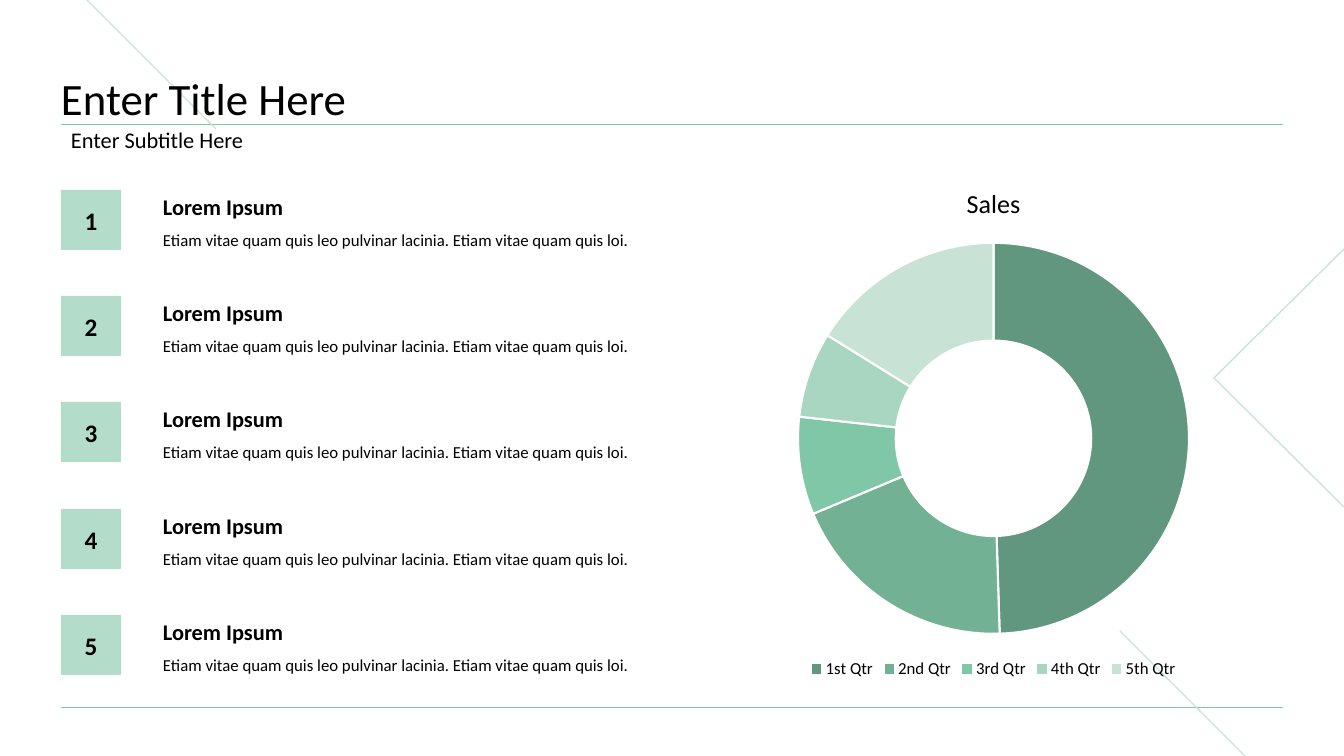
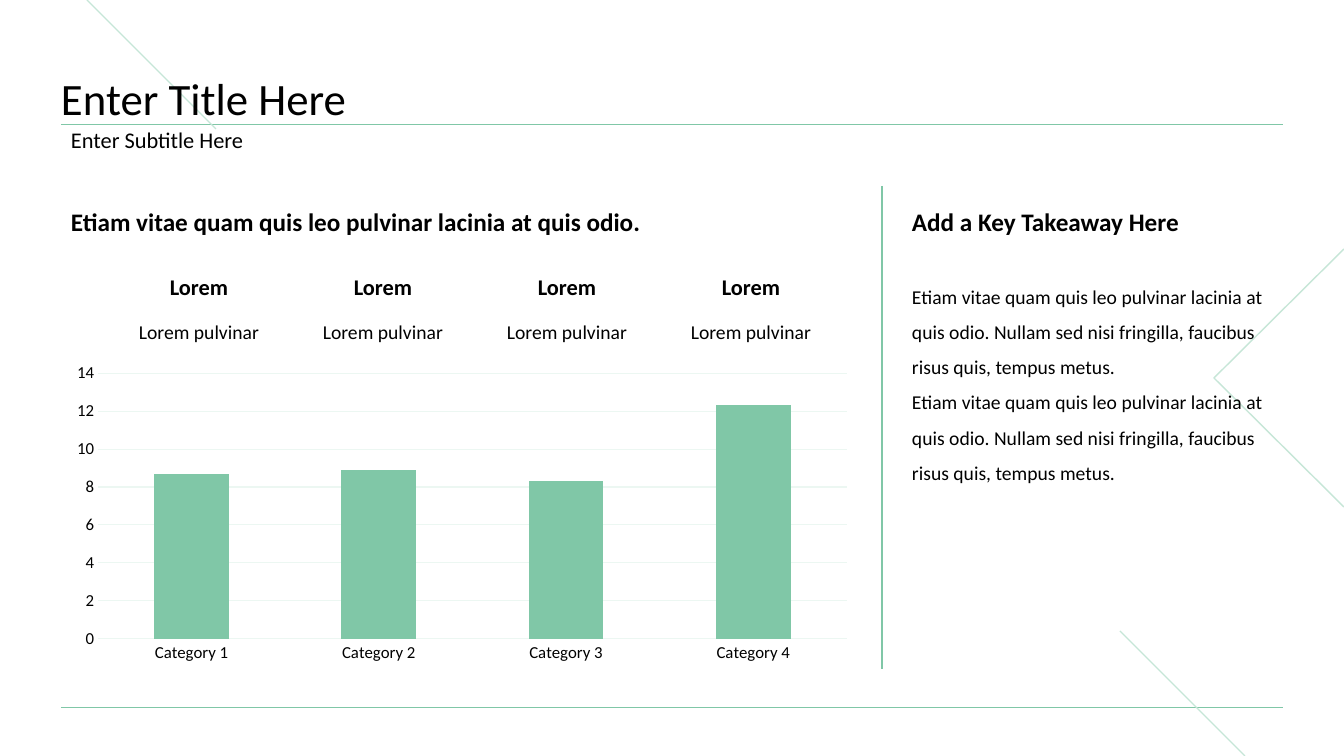
import pptx
import pptx.util
import pptx.chart.data
import pptx.dml.color
import pptx.enum.chart
import pptx.enum.shapes
import pptx.enum.text
import pptx.oxml.ns
from lxml import etree

FONT = "Calibri"
COLORS = {
    "text": "000000", "white": "FFFFFF", "accent": "80C7A7", "pale": "C6E6D7",
    "tile": "B3DDCA", "grid": "ECF7F2",
}
RING = ["61977F", "72B194", "80C7A7", "A9D6C0", "C8E3D5"]
EMU_PER_PX = 914400 / 100.8
WIDTH, HEIGHT = 1344, 756
LEFT, RIGHT = 61, 1283
ALIGN = pptx.enum.text.PP_ALIGN
ANCHOR = pptx.enum.text.MSO_ANCHOR


def px(n):
    return pptx.util.Emu(round(n * EMU_PER_PX))


def box(left, top, width, height):
    return px(left), px(top), px(width), px(height)


def rgb(name):
    return pptx.dml.color.RGBColor.from_string(COLORS.get(name, name))


# Text
def style_font(font, size, bold=False):
    font.name, font.size, font.bold = FONT, pptx.util.Pt(size), bold
    font.color.rgb = rgb("text")


def write(p, text, size, bold=False, align=ALIGN.LEFT, spacing=1.0, before=0):
    p.alignment, p.line_spacing = align, spacing
    p.space_before = pptx.util.Pt(before)
    r = p.add_run()
    r.text = text
    style_font(r.font, size, bold)


def set_frame(tf, anchor, inset_x=10, inset_y=5):
    tf.word_wrap = True
    tf.auto_size = pptx.enum.text.MSO_AUTO_SIZE.NONE
    tf.vertical_anchor = anchor
    tf.margin_left = tf.margin_right = px(inset_x)
    tf.margin_top = tf.margin_bottom = px(inset_y)


def add_text(s, area, text, size, bold=False, align=ALIGN.LEFT, spacing=1.5,
             anchor=ANCHOR.TOP, inset_y=5):
    tf = s.shapes.add_textbox(*box(*area)).text_frame
    set_frame(tf, anchor, inset_y=inset_y)
    write(tf.paragraphs[0], text, size, bold, align, spacing)
    return tf


# Lines and tiles
def style_line(line, color, width):
    line.color.rgb = rgb(color)
    line.width = pptx.util.Pt(width)


def add_line(s, x1, y1, x2, y2, color, width):
    line = s.shapes.add_connector(
        pptx.enum.shapes.MSO_CONNECTOR.STRAIGHT, px(x1), px(y1), px(x2), px(y2))
    style_line(line.line, color, width)
    etree.SubElement(line.element.spPr, pptx.oxml.ns.qn("a:effectLst"))
    return line


def add_chevron(s):
    builder = s.shapes.build_freeform(px(WIDTH), px(249), scale=1.0)
    builder.add_line_segments(
        [(px(1214), px(378)), (px(WIDTH), px(507))], close=False)
    chevron = builder.convert_to_shape()
    chevron.fill.background()
    style_line(chevron.line, "pale", 1)
    chevron.shadow.inherit = False
    return chevron


def add_tile(s, area, label):
    sp = s.shapes.add_shape(pptx.enum.shapes.MSO_SHAPE.RECTANGLE, *box(*area))
    sp.fill.solid()
    sp.fill.fore_color.rgb = rgb("tile")
    sp.line.fill.background()
    sp.shadow.inherit = False
    set_frame(sp.text_frame, ANCHOR.MIDDLE)
    write(sp.text_frame.paragraphs[0], label, 18, True, ALIGN.CENTER)


# Shared frame and header
def add_frame(layout, s):
    """Draw the decoration on s, then move it to the layout behind all slides."""
    parts = [
        add_line(s, LEFT, 707, RIGHT, 707, "accent", 0.5),
        add_line(s, LEFT, 124, RIGHT, 124, "accent", 0.5),
        add_line(s, 1120, 631, 1245, HEIGHT, "pale", 1),
        add_line(s, 87, 0, 216, 129, "pale", 1),
        add_chevron(s),
    ]
    for number, part in enumerate(parts, 101):
        part.element.xpath(".//p:cNvPr")[0].set("id", str(number))
        layout.shapes.element.append(part.element)


def place(ph, area):
    ph.left, ph.top, ph.width, ph.height = box(*area)


def add_header(s, title, subtitle):
    heading, body = s.shapes.title, s.placeholders[1]
    place(heading, (LEFT, 44, RIGHT - LEFT, 81))
    set_frame(heading.text_frame, ANCHOR.BOTTOM, 0, 0)
    write(heading.text_frame.paragraphs[0], title, 32, spacing=0.9)

    place(body, (LEFT, 124, RIGHT - LEFT, 34))
    set_frame(body.text_frame, ANCHOR.MIDDLE)
    p = body.text_frame.paragraphs[0]
    pPr = p._p.get_or_add_pPr()
    pPr.set("marL", "0")
    pPr.set("indent", "0")
    etree.SubElement(pPr, pptx.oxml.ns.qn("a:buNone"))
    write(p, subtitle, 16, spacing=0.9)


# Charts
def add_chart(s, kind, area, categories, series):
    data = pptx.chart.data.CategoryChartData()
    data.categories = categories
    for name, values in series:
        data.add_series(name, values)
    chart = s.shapes.add_chart(kind, *box(*area), data).chart
    style_font(chart.font, 10)
    return chart


def add_sales_ring(s):
    chart = add_chart(
        s, pptx.enum.chart.XL_CHART_TYPE.DOUGHNUT, (643, 165, 701, 518),
        ["1st Qtr", "2nd Qtr", "3rd Qtr", "4th Qtr", "5th Qtr"],
        [("Sales", (49, 19, 8, 7, 16))])
    chart.has_title = True
    write(chart.chart_title.text_frame.paragraphs[0], "Sales", 18.6,
          align=ALIGN.CENTER)
    chart.chart_title.include_in_layout = False
    chart.has_legend = True
    chart.legend.position = pptx.enum.chart.XL_LEGEND_POSITION.BOTTOM
    chart.legend.include_in_layout = False
    style_font(chart.legend.font, 12)
    plot = chart.plots[0]
    plot.vary_by_categories = True
    for hole in plot._element.xpath("c:holeSize"):
        hole.set("val", "75")
    for i, color in enumerate(RING):
        point = plot.series[0].points[i].format
        point.fill.solid()
        point.fill.fore_color.rgb = rgb(color)
        style_line(point.line, "white", 1.5)


def add_category_columns(s):
    chart = add_chart(
        s, pptx.enum.chart.XL_CHART_TYPE.COLUMN_STACKED, (LEFT, 357, 802, 312),
        [f"Category {n}" for n in range(1, 5)],
        [("Series 1", (4.3, 2.5, 3.5, 4.5)),
         ("Series 2", (2.4, 4.4, 1.8, 2.8)),
         ("Series 3", (2, 2, 3, 5))])
    chart.has_title = chart.has_legend = False
    plot = chart.plots[0]
    plot.vary_by_categories = False
    plot.gap_width, plot.overlap = 150, 100
    for series in plot.series:
        series.format.fill.solid()
        series.format.fill.fore_color.rgb = rgb("accent")
    for axis in (chart.category_axis, chart.value_axis):
        axis.major_tick_mark = pptx.enum.chart.XL_TICK_MARK.NONE
        axis.minor_tick_mark = pptx.enum.chart.XL_TICK_MARK.NONE
        axis.format.line.fill.background()
        style_font(axis.tick_labels.font, 12)
    values = chart.value_axis
    values.minimum_scale, values.maximum_scale, values.major_unit = 0, 14, 2
    values.has_major_gridlines = True
    style_line(values.major_gridlines.format.line, "grid", 0.75)


# Slides
def fill_ring_slide(s):
    detail = "Etiam vitae quam quis leo pulvinar lacinia. Etiam vitae quam quis loi."
    for i in range(5):
        top = 190 + round(i * 425 / 4)
        add_tile(s, (LEFT, top, 60, 60), str(i + 1))
        add_text(s, (153, top + 30, 594, 30), detail, 12, anchor=ANCHOR.MIDDLE)
        add_text(s, (153, top, 594, 30), "Lorem Ipsum", 16, True, spacing=1.15,
                 anchor=ANCHOR.MIDDLE, inset_y=10)
    add_sales_ring(s)


def fill_column_slide(s):
    add_category_columns(s)
    add_text(s, (LEFT, 186, 802, 51),
             "Etiam vitae quam quis leo pulvinar lacinia at quis odio.", 18, True)
    for i in range(4):
        left = 119 + 184 * i
        add_text(s, (left, 255, 160, 46), "Lorem", 16, True, ALIGN.CENTER)
        add_text(s, (left, 303, 160, 42), "Lorem pulvinar", 14, align=ALIGN.CENTER)

    add_line(s, 882, 186, 882, 669, "accent", 1.5)
    tf = add_text(s, (902, 186, 380, 301), "Add a Key Takeaway Here", 18, True)
    for before in (26, 0):
        write(tf.add_paragraph(),
              "Etiam vitae quam quis leo pulvinar lacinia at quis odio. "
              "Nullam sed nisi fringilla, faucibus risus quis, tempus metus.",
              14, spacing=1.5, before=before)


def main():
    prs = pptx.Presentation()
    prs.slide_width, prs.slide_height = px(WIDTH), px(HEIGHT)
    layout = prs.slide_layouts[1]
    for number, fill in enumerate((fill_ring_slide, fill_column_slide)):
        s = prs.slides.add_slide(layout)
        if number == 0:
            add_frame(layout, s)
        add_header(s, "Enter Title Here", "Enter Subtitle Here")
        fill(s)
    prs.save("out.pptx")


if __name__ == "__main__":
    main()
